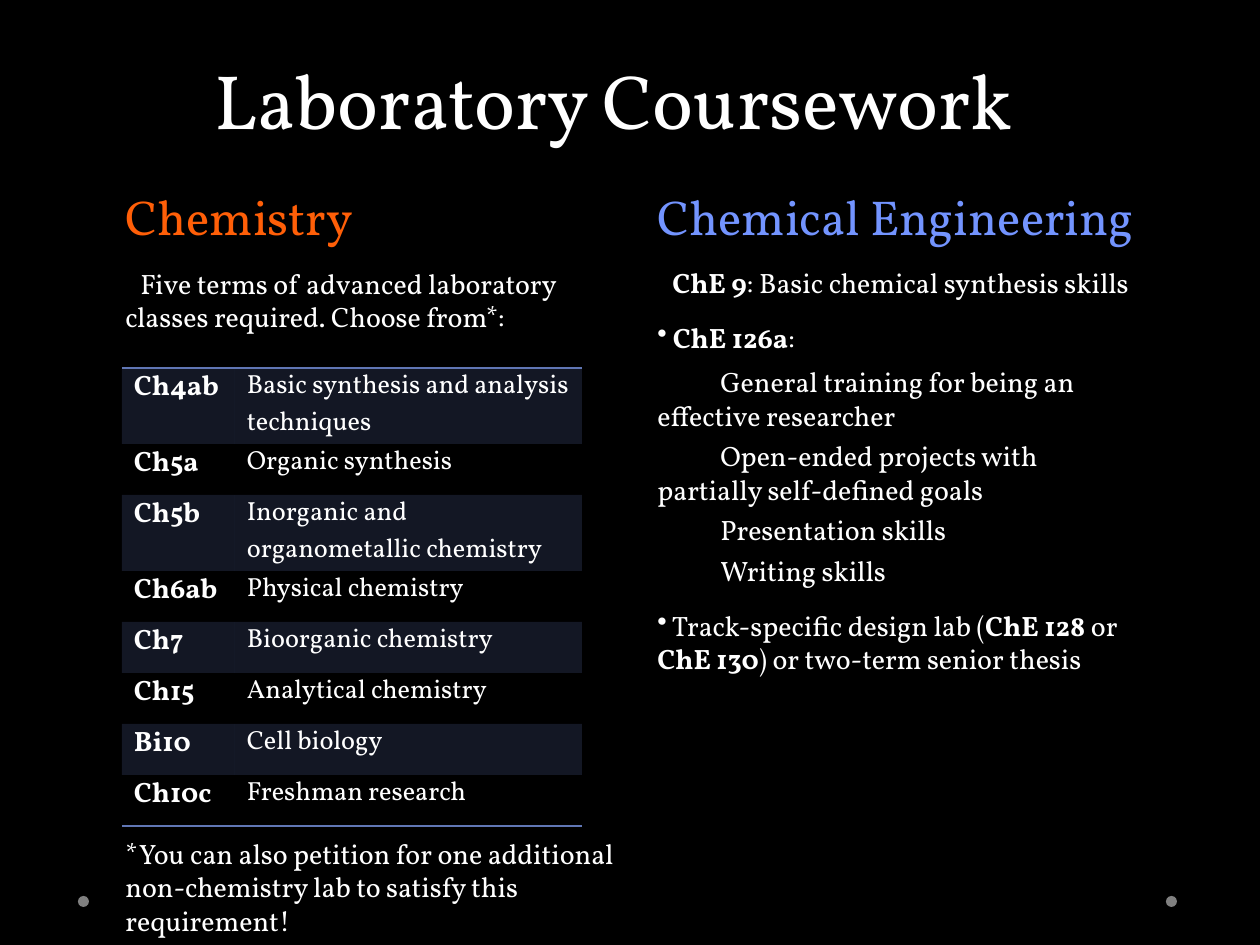
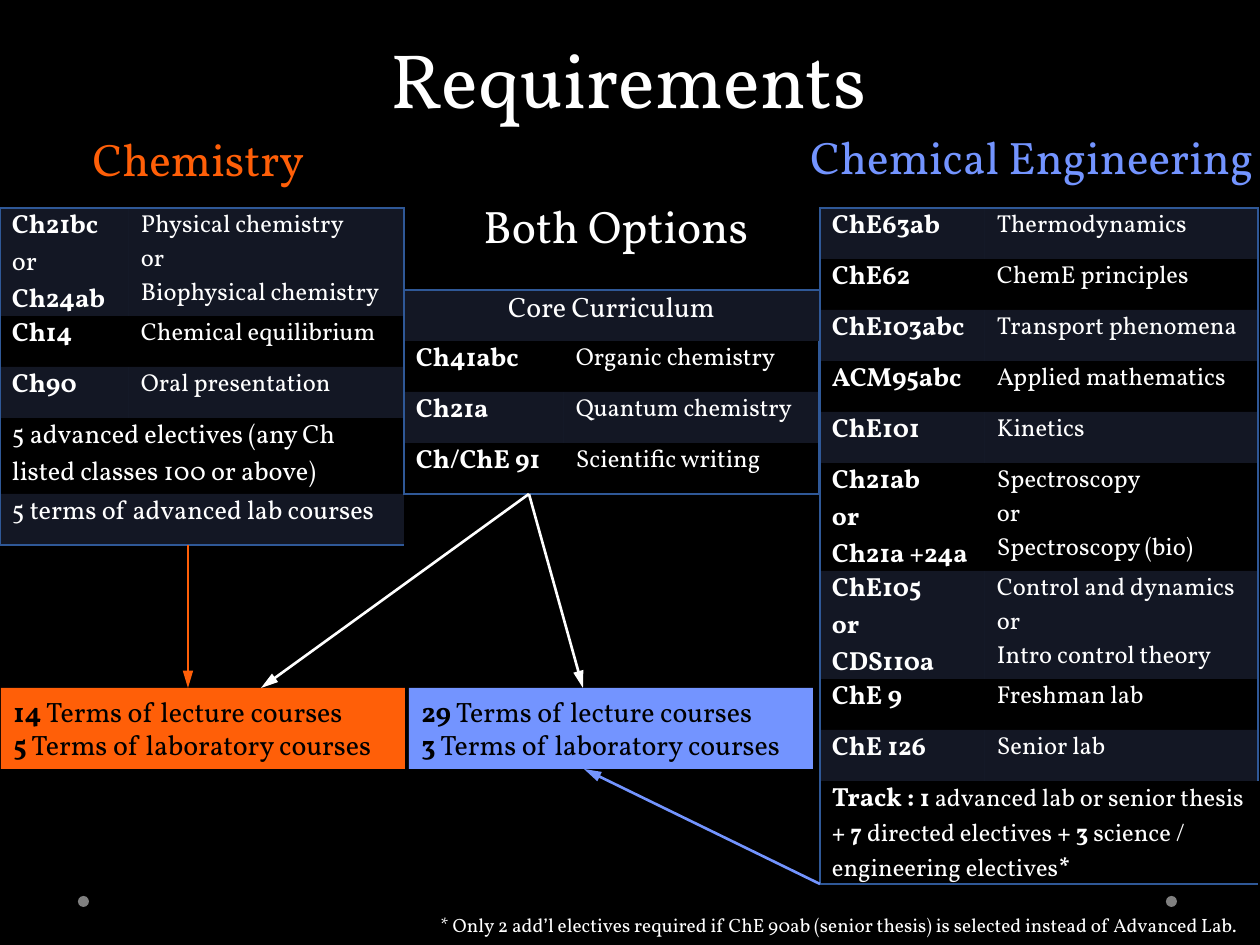
from dataclasses import dataclass

from lxml import etree
from pptx import Presentation
from pptx.dml.color import RGBColor
from pptx.enum.shapes import MSO_CONNECTOR, MSO_SHAPE
from pptx.enum.text import MSO_ANCHOR, PP_ALIGN
from pptx.oxml.ns import qn
from pptx.util import Pt

LEFT, CENTER = PP_ALIGN.LEFT, PP_ALIGN.CENTER
TOP = MSO_ANCHOR.TOP
RECTANGLE, OVAL = MSO_SHAPE.RECTANGLE, MSO_SHAPE.OVAL
STRAIGHT = MSO_CONNECTOR.STRAIGHT
PLAIN_TABLE = "{2D5ABB26-0587-4C30-8999-92F81FD0307C}"
WIDTH, HEIGHT = 1260, 945
ROW = 51  # height of a one-line table row


@dataclass(frozen=True)
class Theme:
    font: str = "Vollkorn"
    black: str = "000000"
    white: str = "FFFFFF"
    gray: str = "808080"
    orange: str = "FF5F08"
    blue: str = "7394FF"
    band: str = "6076B4"
    frame: str = "2F5897"
    title: int = 44
    heading: int = 28
    subheading: int = 26
    body: int = 16
    code: int = 15
    name: int = 14
    note: int = 11


THEME = Theme()


def px(length):
    """Turn pixels (126 to the inch) into EMU."""
    return round(length * 914400 / 126)


def area(*lengths):
    return [px(length) for length in lengths]


def rgb(color):
    return RGBColor.from_string(color)


def add_xml(parent, tag, **attributes):
    return etree.SubElement(parent, qn(tag), attributes)


# ---- Text ----

def write(frame, text, first=False, size=THEME.body, lead_size=None,
          color=THEME.white, align=LEFT, after=0, indent=0, bullet=False):
    """Write one paragraph; bars switch bold on and off, \\v breaks a line."""
    para = frame.paragraphs[0] if first else frame.add_paragraph()
    para.alignment = align
    para.space_after = Pt(after)
    properties = para._p.get_or_add_pPr()
    properties.set("marL", "0")
    properties.set("indent", str(px(indent)))
    if bullet:
        add_xml(properties, "a:buChar", char="•")
    else:
        add_xml(properties, "a:buNone")
    span_size = lead_size or size
    for part, words in enumerate(text.split("|")):
        if not words:
            continue
        for number, line in enumerate(words.split("\v")):
            if number:
                para.add_line_break()
            span = para.add_run()
            span.text = line
            font = span.font
            font.name, font.size = THEME.font, Pt(span_size)
            font.bold = part % 2 == 1
            font.color.rgb = rgb(color)
        span_size = size


def add_text(page, box, text, **style):
    """Add a wrapping text box and return its frame for more paragraphs."""
    frame = page.shapes.add_textbox(*area(*box)).text_frame
    frame.word_wrap = True
    write(frame, text, first=True, **style)
    return frame


# ---- Shapes, arrows and tables ----

def add_solid(page, preset, box, color):
    shape = page.shapes.add_shape(preset, *area(*box))
    shape.shadow.inherit = False
    shape.fill.solid()
    shape.fill.fore_color.rgb = rgb(color)
    shape.line.fill.background()
    return shape


def add_total(page, box, lines, color):
    """Add a coloured box that sums up the terms."""
    frame = add_solid(page, RECTANGLE, box, color).text_frame
    frame.word_wrap = True
    frame.vertical_anchor = TOP
    for number, line in enumerate(lines):
        write(frame, line, first=number == 0, color=THEME.black)


def add_arrow(page, start, end, color):
    arrow = page.shapes.add_connector(STRAIGHT, *area(*start, *end))
    arrow.line.color.rgb = rgb(color)
    arrow.line.width = Pt(1.5)
    properties = arrow._element.spPr
    add_xml(properties.find(qn("a:ln")), "a:tailEnd", type="triangle",
            w="med", len="lg")
    add_xml(properties, "a:effectLst")


def paint_cell(cell, filled, edges, color, weight):
    """Set the borders, then the translucent band of one cell."""
    properties = cell._tc.get_or_add_tcPr()
    for edge in "LRTB":
        if edge in edges:
            line = add_xml(properties, "a:ln" + edge, w=str(Pt(weight)))
            add_xml(add_xml(line, "a:solidFill"), "a:srgbClr", val=color)
    if filled:
        tint = add_xml(add_xml(properties, "a:solidFill"), "a:srgbClr",
                       val=THEME.band)
        add_xml(tint, "a:alpha", val="20000")
    else:
        add_xml(properties, "a:noFill")


def add_course_table(page, corner, widths, rows, sizes, edges="LRTB",
                     color=THEME.frame, weight=0.75):
    """Add a banded table; a row is (height, texts, style of a merged row)."""
    total = sum(row[0] for row in rows)
    holder = page.shapes.add_table(
        len(rows), len(widths), *area(*corner, sum(widths), total))
    table = holder.table
    table.first_row = table.horz_banding = False
    next(holder._element.iter(qn("a:tableStyleId"))).text = PLAIN_TABLE
    for column, width in zip(table.columns, widths):
        column.width = px(width)
    last_row, last_column = len(rows) - 1, len(widths) - 1
    for index, (height, texts, *style) in enumerate(rows):
        table.rows[index].height = px(height)
        if len(texts) == 1:
            table.cell(index, 0).merge(table.cell(index, last_column))
        for column in range(len(widths)):
            cell = table.cell(index, column)
            cell.margin_left = cell.margin_right = px(12)
            cell.margin_top, cell.margin_bottom = px(1), 0
            outer = {"T": index == 0, "B": index == last_row,
                     "L": column == 0, "R": column == last_column}
            paint_cell(cell, index % 2 == 0,
                       [edge for edge in edges if outer[edge]], color, weight)
            if column < len(texts):
                look = {"size": sizes[column]}
                look.update(*style)
                for number, text in enumerate(texts[column].split("\n")):
                    write(cell.text_frame, text, first=number == 0, **look)


def courses(*pairs):
    """Turn code and name pairs into one-line rows with a bold code."""
    return [(ROW, (f"|{code}|", name)) for code, name in pairs]


# ---- Pages ----

def add_page(deck, title, title_box):
    page = deck.slides.add_slide(deck.slide_layouts[6])
    page.background.fill.solid()
    page.background.fill.fore_color.rgb = rgb(THEME.black)
    for left in (78, 1166):  # footer dots
        add_solid(page, OVAL, (left, 896, 11, 11), THEME.gray)
    add_text(page, title_box, title, size=THEME.title)
    return page


def add_chemistry_labs(page, left, top):
    frame = add_text(page, (left, top, 520, 170), "Chemistry",
                     size=THEME.heading, color=THEME.orange, after=12)
    write(frame, "Five terms of advanced laboratory classes required. "
                 "Choose from*:", indent=15)
    rows = courses(
        ("Ch4ab", "Basic synthesis and analysis techniques"),
        ("Ch5a", "Organic synthesis"),
        ("Ch5b", "Inorganic and organometallic chemistry"),
        ("Ch6ab", "Physical chemistry"),
        ("Ch7", "Bioorganic chemistry"),
        ("Ch15", "Analytical chemistry"),
        ("Bi10", "Cell biology"),
        ("Ch10c", "Freshman research"))
    for index in (0, 2):  # names on two lines
        rows[index] = (76, rows[index][1])
    add_course_table(page, (left + 9, top + 188), (113, 347), rows,
                     (THEME.body, THEME.code), edges="TB",
                     color=THEME.band, weight=1)
    add_text(page, (left, top + 650, 520, 114),
             "*You can also petition for one additional non-chemistry lab "
             "to satisfy this requirement!")


def add_engineering_labs(page, left, top):
    frame = add_text(page, (left, top, 508, 507), "Chemical Engineering",
                     size=THEME.heading, color=THEME.blue, after=12)
    write(frame, "|ChE 9|: Basic chemical synthesis skills", indent=15,
          after=12)
    write(frame, "| ChE 126a|:", bullet=True, after=6)
    for skill, after in (
            ("General training for being an\veffective researcher", 4),
            ("Open-ended projects with\vpartially self-defined goals", 4),
            ("Presentation skills", 4),
            ("Writing skills", 12)):
        write(frame, skill, indent=63, after=after)
    write(frame, " Track-specific design lab (|ChE 128 |or |ChE 130|) "
                 "or two-term senior thesis", bullet=True, after=6)


def add_chemistry_requirements(page, left, top):
    add_text(page, (left + 19, top - 83, 359, 68), "Chemistry",
             size=THEME.subheading, color=THEME.orange, align=CENTER)
    merged = {"size": THEME.code}
    rows = [
        (108, ("|Ch21bc| or\n|Ch24ab|",
               "Physical chemistry\nor\nBiophysical chemistry")),
        *courses(("Ch14", "Chemical equilibrium"),
                 ("Ch90", "Oral presentation")),
        (76, ("5 advanced electives (any Ch listed classes 100 or above)",),
         merged),
        (ROW, ("5 terms of advanced lab courses",), merged)]
    add_course_table(page, (left, top), (129, 275), rows,
                     (THEME.code, THEME.name))


def add_shared_requirements(page, left, top):
    add_text(page, (left + 48, top - 98, 328, 68), "Both Options",
             size=THEME.subheading, align=CENTER)
    rows = [
        (ROW, ("Core Curriculum",), {"size": THEME.body, "align": CENTER}),
        *courses(("Ch41abc", "Organic chemistry"),
                 ("Ch21a", "Quantum chemistry"),
                 ("Ch/ChE 91", "Scientific writing"))]
    add_course_table(page, (left, top), (160, 255), rows,
                     (THEME.code, THEME.name))


def add_engineering_requirements(page, left, top):
    add_text(page, (left - 22, top - 85, 475, 68), "Chemical Engineering",
             size=THEME.subheading, color=THEME.blue)
    rows = [
        *courses(("ChE63ab", "Thermodynamics"),
                 ("ChE62", "ChemE principles"),
                 ("ChE103abc", "Transport phenomena"),
                 ("ACM95abc", "Applied mathematics"),
                 ("ChE101", "Kinetics")),
        (108, ("|Ch21ab|\n|or|\n|Ch21a +24a|",
               "Spectroscopy\nor\nSpectroscopy (bio)")),
        (108, ("|ChE105|\n|or|\n|CDS110a|",
               "Control and dynamics\nor\nIntro control theory")),
        *courses(("ChE 9", "Freshman lab"), ("ChE 126", "Senior lab")),
        (103, ("|Track : ||1| advanced lab or senior thesis |+ 7| directed "
               "electives |+ 3 |science / engineering electives|*|",),
         {"size": THEME.name, "lead_size": THEME.code})]
    add_course_table(page, (left, top), (165, 273), rows,
                     (THEME.code, THEME.name))


def add_totals(page, left, top):
    """Add both totals and the arrows that lead into them."""
    for offset, color, lectures, labs in ((0, THEME.orange, 14, 5),
                                          (408, THEME.blue, 29, 3)):
        add_total(page, (left + offset, top, 404, 81),
                  (f"|{lectures}| Terms of lecture courses",
                   f"|{labs}| Terms of laboratory courses"), color)
    for start, end, color in (
            ((188, 545), (188, top), THEME.orange),
            ((820, 884), (584, top + 81), THEME.blue),
            ((529, 494), (583, top), THEME.white),
            ((529, 494), (261, top), THEME.white)):
        add_arrow(page, start, end, color)


deck = Presentation()
deck.slide_width, deck.slide_height = area(WIDTH, HEIGHT)

# Laboratory courses
page = add_page(deck, "Laboratory Coursework", (202, 46, 857, 106))
add_chemistry_labs(page, 113, 180)
add_engineering_labs(page, 645, 180)

# Requirements
page = add_page(deck, "Requirements", (378, 25, 510, 106))
add_chemistry_requirements(page, 0, 208)
add_shared_requirements(page, 404, 290)
add_engineering_requirements(page, 820, 208)
add_totals(page, 1, 688)
add_text(page, (428, 907, 832, 37),
         "* Only 2 add’l electives required if ChE 90ab (senior thesis) "
         "is selected instead of Advanced Lab.", size=THEME.note)

deck.save("out.pptx")
